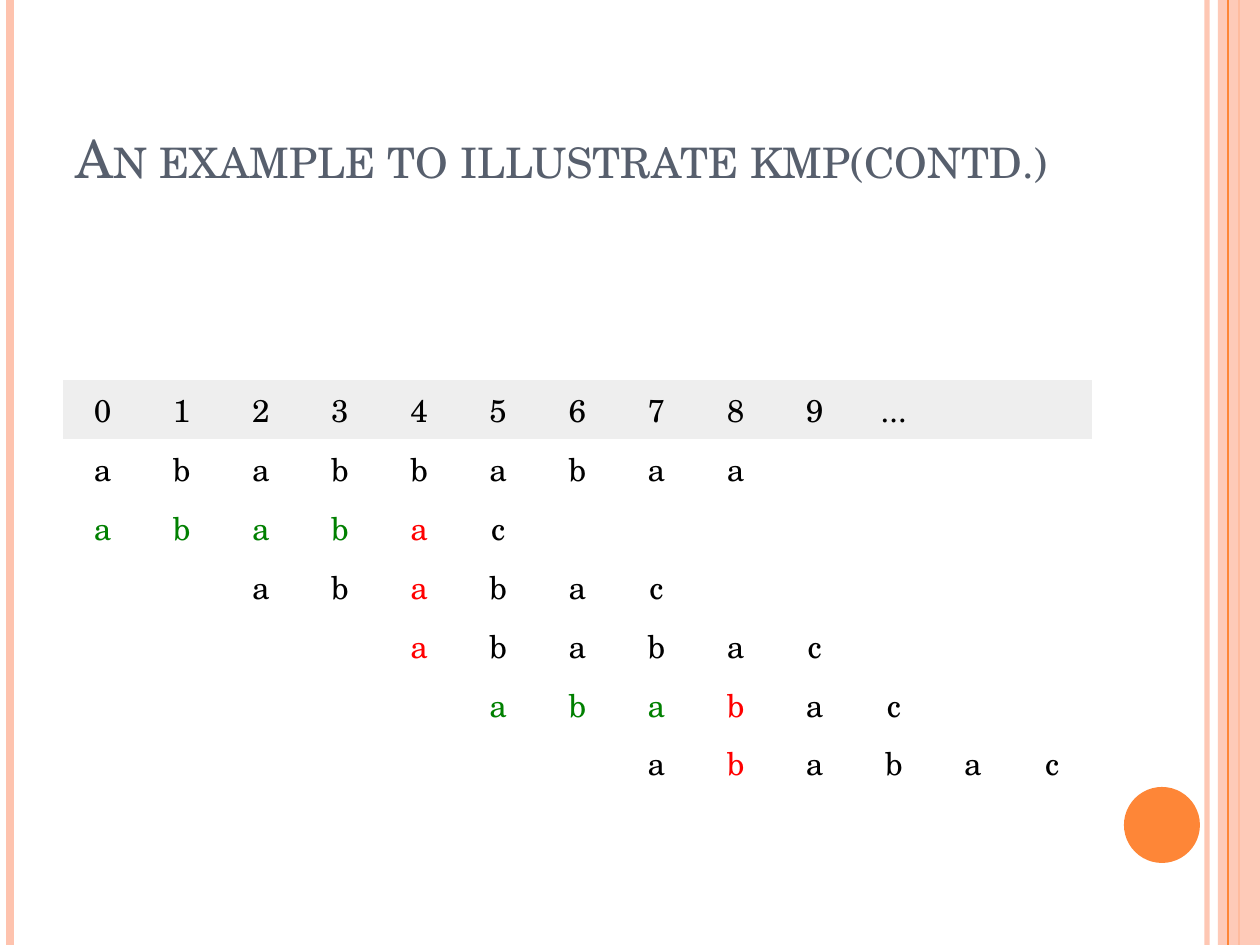
from dataclasses import dataclass

from lxml import etree
from pptx import Presentation
from pptx.dml.color import RGBColor
from pptx.enum.shapes import MSO_CONNECTOR, MSO_SHAPE
from pptx.enum.text import MSO_ANCHOR, MSO_AUTO_SIZE, PP_ALIGN
from pptx.oxml.ns import qn
from pptx.util import Pt

STRAIGHT = MSO_CONNECTOR.STRAIGHT
RECTANGLE, OVAL = MSO_SHAPE.RECTANGLE, MSO_SHAPE.OVAL
LEFT, CENTER = PP_ALIGN.LEFT, PP_ALIGN.CENTER
MIDDLE, BOTTOM = MSO_ANCHOR.MIDDLE, MSO_ANCHOR.BOTTOM
NO_AUTOFIT = MSO_AUTO_SIZE.NONE

TITLE_ONLY = 5
PX_PER_INCH = 126
SLIDE_W, SLIDE_H = 1260, 945
NO_TABLE_STYLE = "{2D5ABB26-0587-4C30-8999-92F81FD0307C}"


@dataclass(frozen=True)
class Theme:
    font: str = "TeX Gyre Schola"
    title_size: int = 30
    cell_size: int = 18
    title: str = "575F6D"
    text: str = "000000"
    match: str = "008000"
    mismatch: str = "FF0000"
    header: str = "EEEEEE"
    paper: str = "FFFFFF"
    accent: str = "FE8637"
    accent_light: str = "FEC3AE"


def emu(px):
    return round(px * 914400 / PX_PER_INCH)


def paint(fill, color, opacity=100):
    fill.solid()
    fill.fore_color.rgb = RGBColor.from_string(color)
    if opacity < 100:
        color_node = fill._xPr.find(qn("a:solidFill"))[0]
        etree.SubElement(color_node, qn("a:alpha"), val=str(opacity * 1000))


def write(frame, text, *, font, size, color, align=LEFT, small_caps=False):
    paragraph = frame.paragraphs[0]
    paragraph.alignment = align
    run = paragraph.add_run()
    run.text = text
    run.font.name = font
    run.font.size = Pt(size)
    run.font.color.rgb = RGBColor.from_string(color)
    if small_caps:
        run.font._element.set("cap", "small")


class SlideBuilder:
    def __init__(self, slide, theme):
        self.slide = slide
        self.theme = theme

    def title(self, text, left, top, width, height):
        heading = self.slide.shapes.title
        heading.left, heading.top = emu(left), emu(top)
        heading.width, heading.height = emu(width), emu(height)
        frame = heading.text_frame
        frame.word_wrap = True
        frame.auto_size = NO_AUTOFIT
        frame.vertical_anchor = BOTTOM
        write(frame, text, font=self.theme.font, size=self.theme.title_size,
              color=self.theme.title, small_caps=True)

    def vertical_rule(self, x, color, weight, opacity=100):
        rule = self.slide.shapes.add_connector(
            STRAIGHT, emu(x), 0, emu(x), emu(SLIDE_H))
        rule.line.width = Pt(weight)
        paint(rule.line.fill, color, opacity)
        etree.SubElement(rule._element.spPr, qn("a:effectLst"))

    def shape(self, kind, left, top, width, height, color, opacity=100):
        shape = self.slide.shapes.add_shape(
            kind, emu(left), emu(top), emu(width), emu(height))
        shape.shadow.inherit = False
        shape.line.fill.background()
        paint(shape.fill, color, opacity)

    def table(self, rows, columns, left, top, width, row_height):
        """Each row is (first column, entries, colours)."""
        table = self.slide.shapes.add_table(
            len(rows), columns, emu(left), emu(top),
            emu(width), emu(row_height * len(rows))).table
        table.first_row = table.horz_banding = False
        table._tbl.tblPr.find(qn("a:tableStyleId")).text = NO_TABLE_STYLE
        for column in table.columns:
            column.width = emu(width / columns)
        for r, (start, entries, colors) in enumerate(rows):
            table.rows[r].height = emu(row_height)
            for cell in table.rows[r].cells:
                paint(cell.fill, self.theme.paper if r else self.theme.header)
                cell.vertical_anchor = MIDDLE
            for c, (entry, color) in enumerate(zip(entries, colors), start):
                write(table.cell(r, c).text_frame, entry, font=self.theme.font,
                      size=self.theme.cell_size, color=color, align=CENTER)


def main():
    theme = Theme()
    deck = Presentation()
    deck.slide_width, deck.slide_height = emu(SLIDE_W), emu(SLIDE_H)
    slide = deck.slides.add_slide(deck.slide_layouts[TITLE_ONLY])
    builder = SlideBuilder(slide, theme)

    # Side rules, right band and accent dot
    builder.vertical_rule(1207, theme.accent_light, 3, opacity=93)
    builder.vertical_rule(10, theme.accent_light, 4.5)
    builder.vertical_rule(1239, theme.accent, 1.5)
    builder.shape(RECTANGLE, 1218, 0, 42, SLIDE_H, theme.accent_light, opacity=87)
    builder.vertical_rule(1228, theme.accent, 0.75)
    builder.shape(OVAL, 1124, 787, 76, 76, theme.accent)

    # Title
    builder.title("An example to illustrate kmp(contd.)", 63, 38, 1029, 157)

    # Index row, text row, then the pattern at each shift
    pattern = "ababac"
    shifts = [(0, "++++-."), (2, "..-..."), (4, "-....."),
              (5, "+++-.."), (7, ".-....")]
    mark_colors = {"+": theme.match, "-": theme.mismatch, ".": theme.text}
    indices = [*"0123456789", "..."]
    searched = "ababbabaa"
    rows = [(0, entries, [theme.text] * len(entries))
            for entries in (indices, searched)]
    rows += [(start, pattern, [mark_colors[mark] for mark in marks])
             for start, marks in shifts]
    builder.table(rows, 13, left=63, top=380, width=1029, row_height=59)

    deck.save("out.pptx")


if __name__ == "__main__":
    main()
